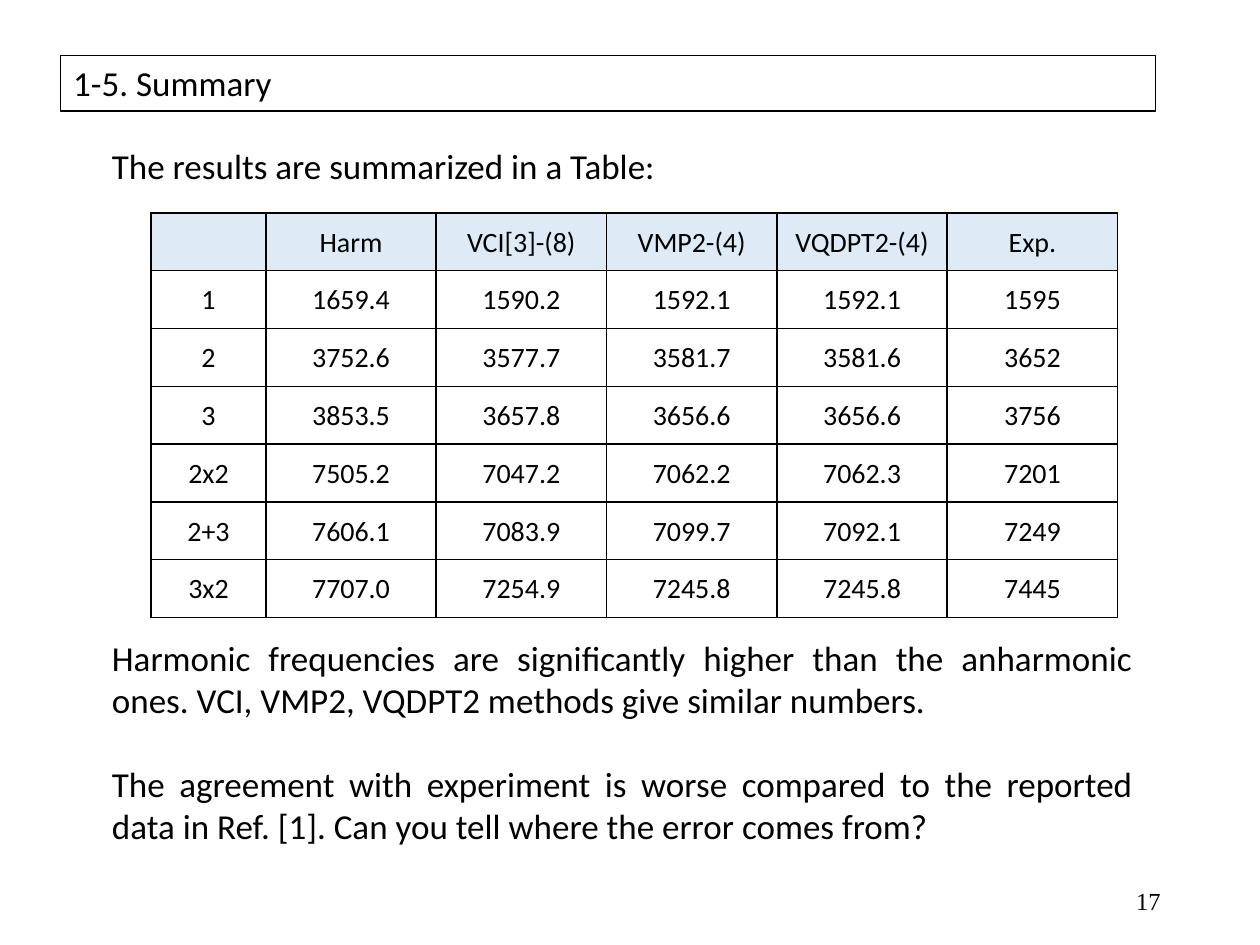
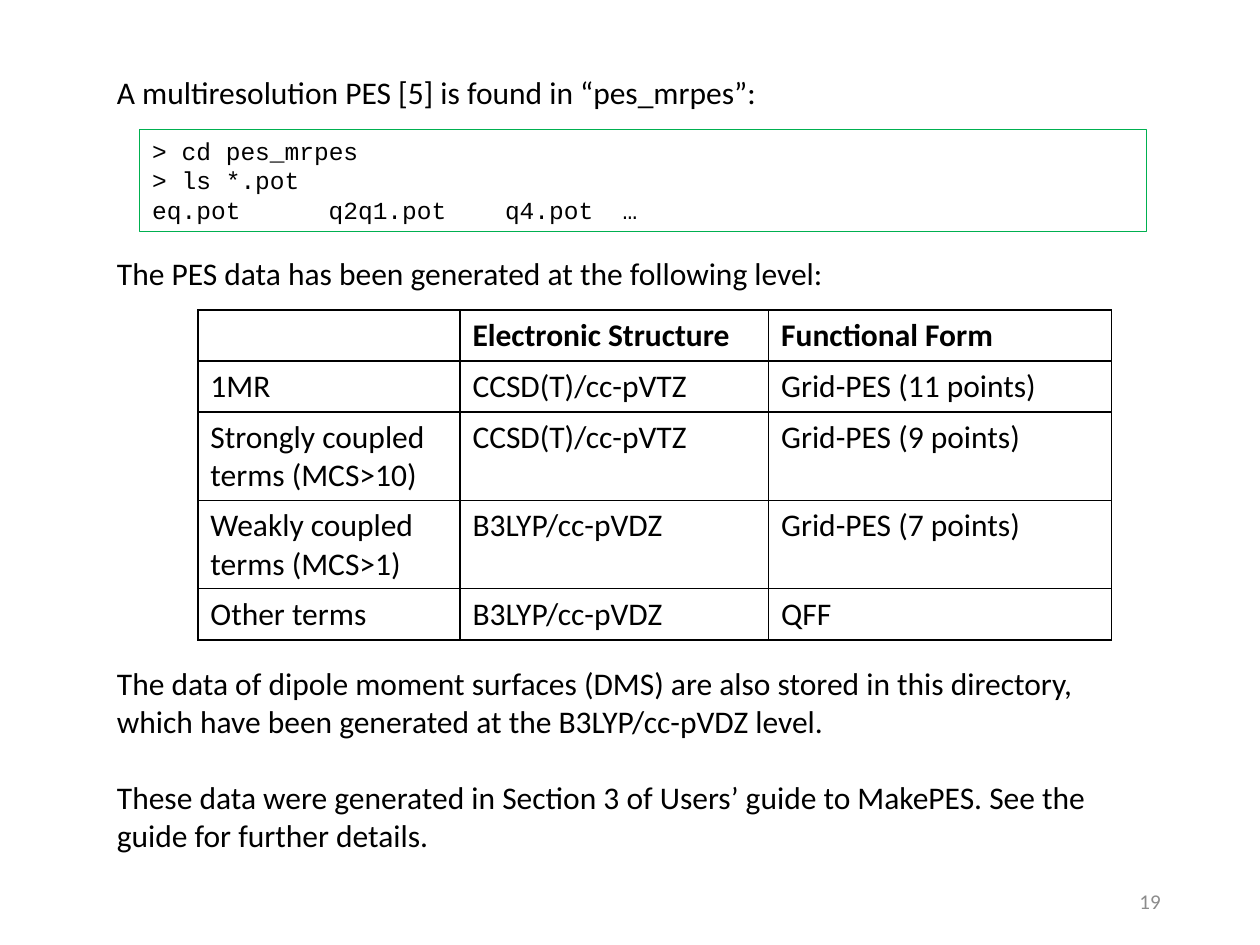
from lxml.etree import SubElement
from pptx import Presentation
from pptx.dml.color import RGBColor
from pptx.enum.shapes import MSO_SHAPE
from pptx.enum.text import MSO_ANCHOR, PP_ALIGN
from pptx.oxml.ns import qn
from pptx.util import Inches, Pt

BLACK = RGBColor(0x00, 0x00, 0x00)
GREY = RGBColor(0x8C, 0x8C, 0x8C)
GREEN = RGBColor(0x00, 0xB0, 0x50)
PALE_BLUE = RGBColor(0xDE, 0xEB, 0xF7)
COLUMNS, ROWS = 100, 75
LINE_HEIGHT = 1.22


class Deck:
    """Text style, grid and current slide of the presentation."""

    def __init__(self):
        self.prs = Presentation()
        self.prs.slide_width, self.prs.slide_height = Inches(10), Inches(7.5)
        self.unit_x = self.prs.slide_width / COLUMNS
        self.unit_y = self.prs.slide_height / ROWS

    def x(self, columns):
        return round(columns * self.unit_x)

    def y(self, rows):
        return round(rows * self.unit_y)

    def box(self, left, top, width, height):
        return self.x(left), self.y(top), self.x(width), self.y(height)

    def new_slide(self, size, title=None):
        self.size = size
        self.s = self.prs.slides.add_slide(self.prs.slide_layouts[5 if title else 6])
        if title:
            sp = self.s.shapes.title
            sp.left, sp.top, sp.width, sp.height = self.box(4.8, 4.4, 86.9, 4.4)
            self.outline(sp, BLACK)
            sp.text_frame.vertical_anchor = MSO_ANCHOR.TOP
            self.add_lines(sp.text_frame, [title])

    def outline(self, sp, color):
        sp.line.color.rgb = color
        sp.line.width = Pt(0.75)

    def add_lines(self, tf, lines, size=None, font="Calibri", color=BLACK,
                  align=PP_ALIGN.LEFT, bold=False, gap=0, tabs=()):
        tf.word_wrap = True
        for i, line in enumerate(lines):
            p = tf.add_paragraph() if i else tf.paragraphs[0]
            p.alignment = align
            if i and gap:
                p.space_before = Pt(gap)
            if tabs:
                tab_list = SubElement(p._p.get_or_add_pPr(), qn("a:tabLst"))
                for stop in tabs:
                    SubElement(tab_list, qn("a:tab"), pos=str(self.x(stop)), algn="l")
            r = p.add_run()
            r.text = line
            r.font.size = Pt(size or self.size)
            r.font.name = font
            r.font.bold = bold
            r.font.color.rgb = color

    def text(self, place, *lines, align=PP_ALIGN.LEFT):
        sp = self.s.shapes.add_textbox(*self.box(*place))
        self.add_lines(sp.text_frame, lines, align=align,
                       gap=round(self.size * LINE_HEIGHT, 1))

    def code(self, place, *lines, tabs=()):
        sp = self.s.shapes.add_shape(MSO_SHAPE.RECTANGLE, *self.box(*place))
        sp.shadow.inherit = False
        sp.fill.background()
        self.outline(sp, GREEN)
        sp.text_frame.vertical_anchor = MSO_ANCHOR.TOP
        self.add_lines(sp.text_frame, lines, size=14, font="Courier New", tabs=tabs)

    def page_number(self, number, **style):
        sp = self.s.shapes.add_textbox(*self.box(70.6, 69.5, 22.5, 4))
        sp.text_frame.vertical_anchor = MSO_ANCHOR.MIDDLE
        self.add_lines(sp.text_frame, [str(number)], align=PP_ALIGN.RIGHT, **style)

    def table(self, left, top, widths, heights, rows, size,
              header_fill=None, header_bold=False, compact=False):
        place = self.box(left, top, sum(widths), sum(heights))
        table = self.s.shapes.add_table(len(heights), len(widths), *place).table
        table.first_row = table.horz_banding = False
        for column, width in zip(table.columns, widths):
            column.width = self.x(width)
        for row, height in zip(table.rows, heights):
            row.height = self.y(height)
        for i, values in enumerate(rows):
            for j, value in enumerate(values):
                cell = table.cell(i, j)
                if header_fill and i == 0:
                    cell.fill.solid()
                    cell.fill.fore_color.rgb = header_fill
                else:
                    cell.fill.background()
                self.borders(cell)
                if compact:
                    cell.vertical_anchor = MSO_ANCHOR.MIDDLE
                    cell.margin_left = cell.margin_right = cell.margin_top = Inches(0.01)
                    cell.margin_bottom = 0
                if value:
                    self.add_lines(cell.text_frame, [value], size=size,
                                   bold=header_bold and i == 0,
                                   align=PP_ALIGN.CENTER if compact else PP_ALIGN.LEFT)

    def borders(self, cell):
        tc_pr = cell._tc.get_or_add_tcPr()
        for i, side in enumerate("LRTB"):
            ln = SubElement(tc_pr, qn(f"a:ln{side}"), w=str(Pt(1)))
            fill = SubElement(ln, qn("a:solidFill"))
            SubElement(fill, qn("a:srgbClr"), val=str(BLACK))
            tc_pr.insert(i, ln)


def summary_slide(deck):
    deck.new_slide(20, "1-5. Summary")
    deck.text((7.9, 11, 83, 4.4), "The results are summarized in a Table:")
    frequencies = [
        ("", "Harm", "VCI[3]-(8)", "VMP2-(4)", "VQDPT2-(4)", "Exp."),
        ("1", "1659.4", "1590.2", "1592.1", "1592.1", "1595"),
        ("2", "3752.6", "3577.7", "3581.7", "3581.6", "3652"),
        ("3", "3853.5", "3657.8", "3656.6", "3656.6", "3756"),
        ("2x2", "7505.2", "7047.2", "7062.2", "7062.3", "7201"),
        ("2+3", "7606.1", "7083.9", "7099.7", "7092.1", "7249"),
        ("3x2", "7707.0", "7254.9", "7245.8", "7245.8", "7445"),
    ]
    deck.table(12, 16.9, [9.1] + [13.52] * 5, [4.59] * 7, frequencies, 16,
               header_fill=PALE_BLUE, compact=True)
    deck.text((7.9, 50, 83, 17.8),
              "Harmonic frequencies are significantly higher than the anharmonic ones. "
              "VCI, VMP2, VQDPT2 methods give similar numbers.",
              "The agreement with experiment is worse compared to the reported data in "
              "Ref. [1]. Can you tell where the error comes from?",
              align=PP_ALIGN.JUSTIFY)
    deck.page_number(17, size=14, font="Times New Roman")


def pes_slide(deck):
    deck.new_slide(18)
    deck.text((8.3, 5.3, 81, 4), "A multiresolution PES [5] is found in “pes_mrpes”:")
    deck.code((11.1, 10.3, 79.9, 8.1), "> cd pes_mrpes", "> ls *.pot",
              "eq.pot\tq2q1.pot\tq4.pot\t…", tabs=(14, 28, 37.33))
    deck.text((8.3, 19.7, 81, 4), "The PES data has been generated at the following level:")
    levels = [
        ("", "Electronic Structure", "Functional Form"),
        ("1MR", "CCSD(T)/cc-pVTZ", "Grid-PES (11 points)"),
        ("Strongly coupled terms (MCS>10)", "CCSD(T)/cc-pVTZ", "Grid-PES (9 points)"),
        ("Weakly coupled terms (MCS>1)", "B3LYP/cc-pVDZ", "Grid-PES (7 points)"),
        ("Other terms", "B3LYP/cc-pVDZ", "QFF"),
    ]
    deck.table(15.7, 24.6, [20.8, 24.5, 27.2], [4.06, 4.06, 7, 7, 4.06], levels, 18,
               header_bold=True)
    deck.text((8.3, 52.2, 81, 16.2),
              "The data of dipole moment surfaces (DMS) are also stored in this directory, "
              "which have been generated at the B3LYP/cc-pVDZ level.",
              "These data were generated in Section 3 of Users’ guide to MakePES. "
              "See the guide for further details.")
    deck.page_number(19, size=12, color=GREY)


def main():
    deck = Deck()
    summary_slide(deck)
    pes_slide(deck)
    deck.prs.save("out.pptx")


if __name__ == "__main__":
    main()
